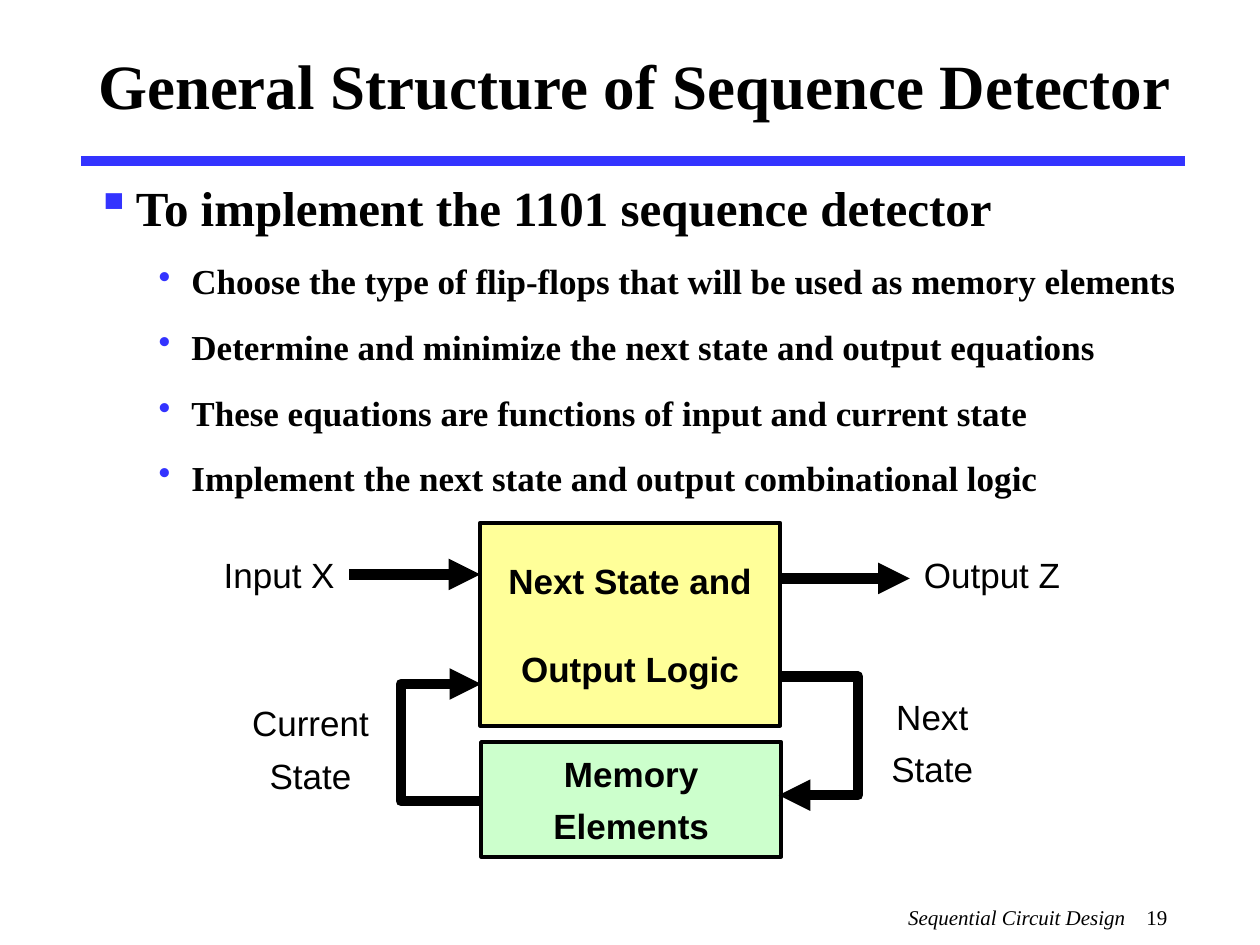
"""Builds the sequence detector structure slide."""
from dataclasses import dataclass

from lxml import etree
from pptx import Presentation
from pptx.dml.color import RGBColor
from pptx.enum.shapes import MSO_CONNECTOR, MSO_SHAPE
from pptx.enum.text import MSO_ANCHOR, PP_ALIGN
from pptx.oxml.ns import qn
from pptx.util import Cm, Pt

RECT = MSO_SHAPE.RECTANGLE
STRAIGHT = MSO_CONNECTOR.STRAIGHT
TOP, MIDDLE = MSO_ANCHOR.TOP, MSO_ANCHOR.MIDDLE
LEFT, CENTER = PP_ALIGN.LEFT, PP_ALIGN.CENTER


@dataclass(frozen=True)
class Theme:
    ink: str = "000000"
    accent: str = "3333FF"
    logic: str = "FFFF99"
    memory: str = "CCFFCC"
    serif: str = "Times New Roman"
    sans: str = "Arial"
    title: float = 36
    heading: float = 28
    body: float = 20
    footer: float = 12
    thick: float = 6
    border: float = 2.25


@dataclass(frozen=True)
class Box:
    x: float
    y: float
    w: float
    h: float

    def emu(self) -> tuple:
        return Cm(self.x), Cm(self.y), Cm(self.w), Cm(self.h)


@dataclass(frozen=True)
class Label:
    box: Box
    lines: tuple
    gap: float = 6
    fill: str = ""


@dataclass(frozen=True)
class Bullet:
    text: str
    char: str
    size: float
    indent: float
    hang: float
    gap: float


THEME = Theme()

BULLETS = [Bullet("To implement the 1101 sequence detector", "▪", THEME.heading, 0.81, 0.81, 0)] + [
    Bullet(text, "•", THEME.body, 1.93, 0.66, 13.5)
    for text in (
        "Choose the type of flip-flops that will be used as memory elements",
        "Determine and minimize the next state and output equations",
        "These equations are functions of input and current state",
        "Implement the next state and output combinational logic",
    )
]

LABELS = [
    Label(Box(9.68, 10.54, 6.05, 4.09), ("Next State and", "Output Logic"), 26, THEME.logic),
    Label(Box(9.7, 14.96, 6.05, 2.31), ("Memory", "Elements"), fill=THEME.memory),
    Label(Box(4.32, 11.15, 2.62, 0.84), ("Input X",)),
    Label(Box(18.44, 11.15, 3.12, 0.84), ("Output Z",)),
    Label(Box(17.55, 14.02, 2.49, 1.88), ("Next", "State")),
    Label(Box(4.7, 14.15, 3.12, 1.88), ("Current", "State")),
]

ARROWS = [(7.04, 9.68, 11.58), (15.7, 18.34, 11.66)]

FEEDBACK = [
    [(15.75, 13.64), (17.3, 13.64), (17.3, 16.03), (15.7, 16.03)],
    [(9.65, 16.15), (8.08, 16.15), (8.08, 13.79), (9.7, 13.79)],
]


def rgb(color: str) -> RGBColor:
    return RGBColor.from_string(color)


def style(p, size: float, font: str, bold: bool = False, italic: bool = False) -> None:
    for r in p.runs:
        r.font.size, r.font.name = Pt(size), font
        r.font.bold, r.font.italic = bold, italic
        r.font.color.rgb = rgb(THEME.ink)


def add_text(s, box: Box, anchor=TOP):
    tf = s.shapes.add_textbox(*box.emu()).text_frame
    tf.word_wrap, tf.vertical_anchor = True, anchor
    return tf


def add_title(s, text: str) -> None:
    tf = add_text(s, Box(1.73, 0.28, 22.71, 2.84), MIDDLE)
    tf.text = text
    style(tf.paragraphs[0], THEME.title, THEME.serif, bold=True)


def add_footer(s, text: str, number: str) -> None:
    p = add_text(s, Box(18.06, 18.11, 5.92, 0.94)).paragraphs[0]
    p.text = text
    tabs = etree.SubElement(p._p.get_or_add_pPr(), qn("a:tabLst"))
    etree.SubElement(tabs, qn("a:tab"), pos=str(Cm(4.8)), algn="l")
    p.add_run().text = "\t" + number
    style(p, THEME.footer, THEME.serif)
    p.runs[0].font.italic = True


def add_bullets(s, bullets: list[Bullet]) -> None:
    tf = add_text(s, Box(1.68, 3.45, 22.53, 13.97))
    for i, b in enumerate(bullets):
        p = tf.add_paragraph() if i else tf.paragraphs[0]
        p.text = b.text
        ppr = p._p.get_or_add_pPr()
        ppr.set("marL", str(Cm(b.indent)))
        ppr.set("indent", str(-Cm(b.hang)))
        color = etree.SubElement(ppr, qn("a:buClr"))
        etree.SubElement(color, qn("a:srgbClr"), val=THEME.accent)
        etree.SubElement(ppr, qn("a:buChar"), char=b.char)
        p.space_before = Pt(b.gap)
        style(p, b.size, THEME.serif, bold=True)


def add_label(s, label: Label) -> None:
    if label.fill:
        sp = s.shapes.add_shape(RECT, *label.box.emu())
        sp.shadow.inherit = False
        sp.fill.solid()
        sp.fill.fore_color.rgb = rgb(label.fill)
        set_line(sp, THEME.ink, THEME.border)
        tf = sp.text_frame
        tf.word_wrap, tf.vertical_anchor = True, MIDDLE
    else:
        tf = add_text(s, label.box)
    tf.margin_left = tf.margin_right = tf.margin_top = tf.margin_bottom = 0
    tf.text = "\n".join(label.lines)
    for i, p in enumerate(tf.paragraphs):
        p.alignment = CENTER
        p.space_before = Pt(label.gap if i else 0)
        style(p, THEME.body, THEME.sans, bold=bool(label.fill))


def set_line(sp, color: str, width: float, arrow: bool = False) -> None:
    sp.line.color.rgb = rgb(color)
    sp.line.width = Pt(width)
    if arrow:
        ln = sp.line._get_or_add_ln()
        etree.SubElement(ln, qn("a:round"))
        etree.SubElement(ln, qn("a:tailEnd"), type="triangle")


def add_line(s, x1: float, x2: float, y: float, color: str, arrow: bool) -> None:
    sp = s.shapes.add_connector(STRAIGHT, Cm(x1), Cm(y), Cm(x2), Cm(y))
    set_line(sp, color, THEME.thick, arrow)
    etree.SubElement(sp._element.spPr, qn("a:effectLst"))


def add_feedback(s, points: list[tuple]) -> None:
    start, *rest = [(Cm(x), Cm(y)) for x, y in points]
    builder = s.shapes.build_freeform(*start)
    builder.add_line_segments(rest, close=False)
    sp = builder.convert_to_shape()
    sp.shadow.inherit = False
    sp.fill.background()
    set_line(sp, THEME.ink, THEME.thick, arrow=True)


def main() -> None:
    prs = Presentation()
    prs.slide_width, prs.slide_height = Cm(25.4), Cm(19.05)
    s = prs.slides.add_slide(prs.slide_layouts[6])
    add_line(s, 1.63, 23.88, 3.25, THEME.accent, arrow=False)
    add_footer(s, "Sequential Circuit Design", "19")
    add_title(s, "General Structure of Sequence Detector")
    add_bullets(s, BULLETS)
    for label in LABELS:
        add_label(s, label)
    for x1, x2, y in ARROWS:
        add_line(s, x1, x2, y, THEME.ink, arrow=True)
    for points in FEEDBACK:
        add_feedback(s, points)
    prs.save("out.pptx")


if __name__ == "__main__":
    main()
